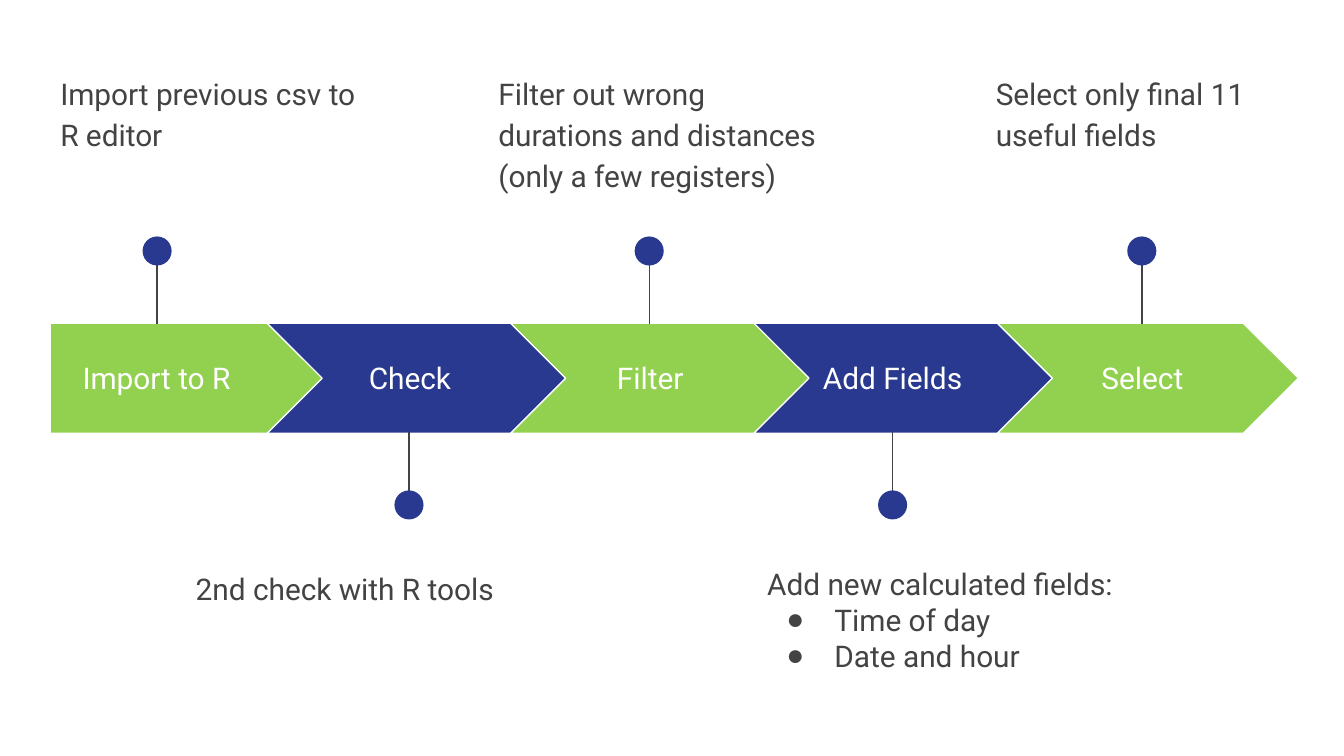
from lxml import etree
from pptx import Presentation
from pptx.dml.color import RGBColor
from pptx.enum.shapes import MSO_CONNECTOR, MSO_SHAPE
from pptx.enum.text import MSO_ANCHOR, MSO_AUTO_SIZE, PP_ALIGN
from pptx.oxml.ns import qn
from pptx.util import Cm, Pt

GREEN = RGBColor(0x92, 0xD0, 0x50)
BLUE = RGBColor(0x2A, 0x39, 0x90)
GREY = RGBColor(0x43, 0x43, 0x43)
WHITE = RGBColor(0xFF, 0xFF, 0xFF)

# Lengths in cm: label, label left, label width, pin x, note left, note width, note lines
STAGES = [
    ("Import to R", 0.94, 4.04, 2.97, 0.89, 6.22, ["Import previous csv to R editor"]),
    ("Check", 5.92, 3.66, 7.73, 3.45, 6.22, ["2nd check with R tools"]),
    ("Filter", 10.46, 3.66, 12.27, 9.17, 6.88,
     ["Filter out wrong durations and distances (only a few registers)"]),
    ("Add Fields", 15.04, 3.66, 16.87, 14.25, 8.74,
     ["Add new calculated fields:", "Time of day", "Date and hour"]),
    ("Select", 19.76, 3.66, 21.58, 18.57, 6.22, ["Select only final 11 useful fields"]),
]
BAND_TOP, BAND_H = 6.11, 2.08
FIRST_LEFT, FIRST_W = 0.95, 5.2
CHEVRON_LEFT, CHEVRON_W, PITCH = 5.05, 5.69, 4.6
LABEL_TOP, LABEL_H = 6.49, 1.3
NOTE_TOPS, NOTE_H = (1.08, 10.44), 2.51
PIN_SPANS, DOT_TOPS, DOT = ((4.57, 6.12), (9.7, 8.16)), (4.47, 9.27), 0.55

LABEL_FORMAT = {"alignment": PP_ALIGN.CENTER}
NOTE_FORMAT = {"line_spacing": 1.15, "space_after": Pt(16)}
LIST_FORMAT = {"line_spacing": 1.0, "space_before": Pt(0), "space_after": Pt(0)}


def set_attrs(obj, values):
    """Set each attribute named in a dict."""
    for name, value in values.items():
        setattr(obj, name, value)


def fill_text(sp, lines, color, para_format, anchor=MSO_ANCHOR.TOP):
    """Write paragraphs into a shape and format them."""
    tf = sp.text_frame
    set_attrs(tf, {"word_wrap": True, "auto_size": MSO_AUTO_SIZE.NONE,
                   "vertical_anchor": anchor})
    set_attrs(tf, {f"margin_{side}": Cm(0.25)
                   for side in ("left", "top", "right", "bottom")})
    tf.text = "\n".join(lines)
    for p in tf.paragraphs:
        set_attrs(p, para_format)
        for r in p.runs:
            set_attrs(r.font, {"name": "Roboto", "size": Pt(16)})
            r.font.color.rgb = color


def set_bullet(p, char=None):
    """Give a paragraph a hanging bullet, or none."""
    pPr = p._p.get_or_add_pPr()
    pPr.set("marL", str(Cm(1.27) if char else 0))
    pPr.set("indent", str(Cm(-0.91) if char else 0))
    if char:
        color = etree.SubElement(pPr, qn("a:buClr"))
        etree.SubElement(color, qn("a:srgbClr")).set("val", str(GREY))
        etree.SubElement(pPr, qn("a:buChar")).set("char", char)
    else:
        etree.SubElement(pPr, qn("a:buNone"))


def add_stage_arrow(shapes, i):
    """Add the arrow of stage i to the band."""
    if i == 0:
        kind, left, width = MSO_SHAPE.PENTAGON, FIRST_LEFT, FIRST_W
    else:
        kind, left, width = MSO_SHAPE.CHEVRON, CHEVRON_LEFT + (i - 1) * PITCH, CHEVRON_W
    sp = shapes.add_shape(kind, Cm(left), Cm(BAND_TOP), Cm(width), Cm(BAND_H))
    sp.adjustments[0] = 0.5
    sp.shadow.inherit = False
    sp.fill.solid()
    sp.fill.fore_color.rgb = BLUE if i % 2 else GREEN
    sp.line.color.rgb = WHITE
    sp.line.width = Pt(0.75)


def add_pin(shapes, x, side):
    """Add a grouped stem and dot above (0) or below (1) the band."""
    group = shapes.add_group_shape()
    start, end = PIN_SPANS[side]
    stem = group.shapes.add_connector(MSO_CONNECTOR.STRAIGHT, Cm(x), Cm(start), Cm(x), Cm(end))
    stem.line.color.rgb = GREY
    stem.line.width = Pt(0.75)
    etree.SubElement(stem._element.spPr, qn("a:effectLst"))
    dot = group.shapes.add_shape(MSO_SHAPE.OVAL, Cm(x - DOT / 2), Cm(DOT_TOPS[side]),
                                 Cm(DOT), Cm(DOT))
    dot.shadow.inherit = False
    dot.fill.solid()
    dot.fill.fore_color.rgb = BLUE
    dot.line.fill.background()


def add_note(slide, left, top, width, lines):
    """Add a note; a list goes into the body placeholder."""
    box = {"left": Cm(left), "top": Cm(top), "width": Cm(width), "height": Cm(NOTE_H)}
    if len(lines) == 1:
        sp = slide.shapes.add_textbox(*box.values())
        fill_text(sp, lines, GREY, NOTE_FORMAT)
        return
    sp = slide.placeholders[1]
    set_attrs(sp, box)
    fill_text(sp, lines, GREY, LIST_FORMAT)
    for i, p in enumerate(sp.text_frame.paragraphs):
        set_bullet(p, "●" if i else None)


prs = Presentation()
prs.slide_width, prs.slide_height = Cm(25.4), Cm(14.29)
slide = prs.slides.add_slide(prs.slide_layouts[1])
title = slide.shapes.title._element
title.getparent().remove(title)

for i, (label, label_left, label_w, pin_x, note_left, note_w, note) in enumerate(STAGES):
    side = i % 2
    add_stage_arrow(slide.shapes, i)
    sp = slide.shapes.add_textbox(Cm(label_left), Cm(LABEL_TOP), Cm(label_w), Cm(LABEL_H))
    fill_text(sp, [label], WHITE, LABEL_FORMAT, MSO_ANCHOR.MIDDLE)
    add_pin(slide.shapes, pin_x, side)
    add_note(slide, note_left, NOTE_TOPS[side], note_w, note)

prs.save("out.pptx")
